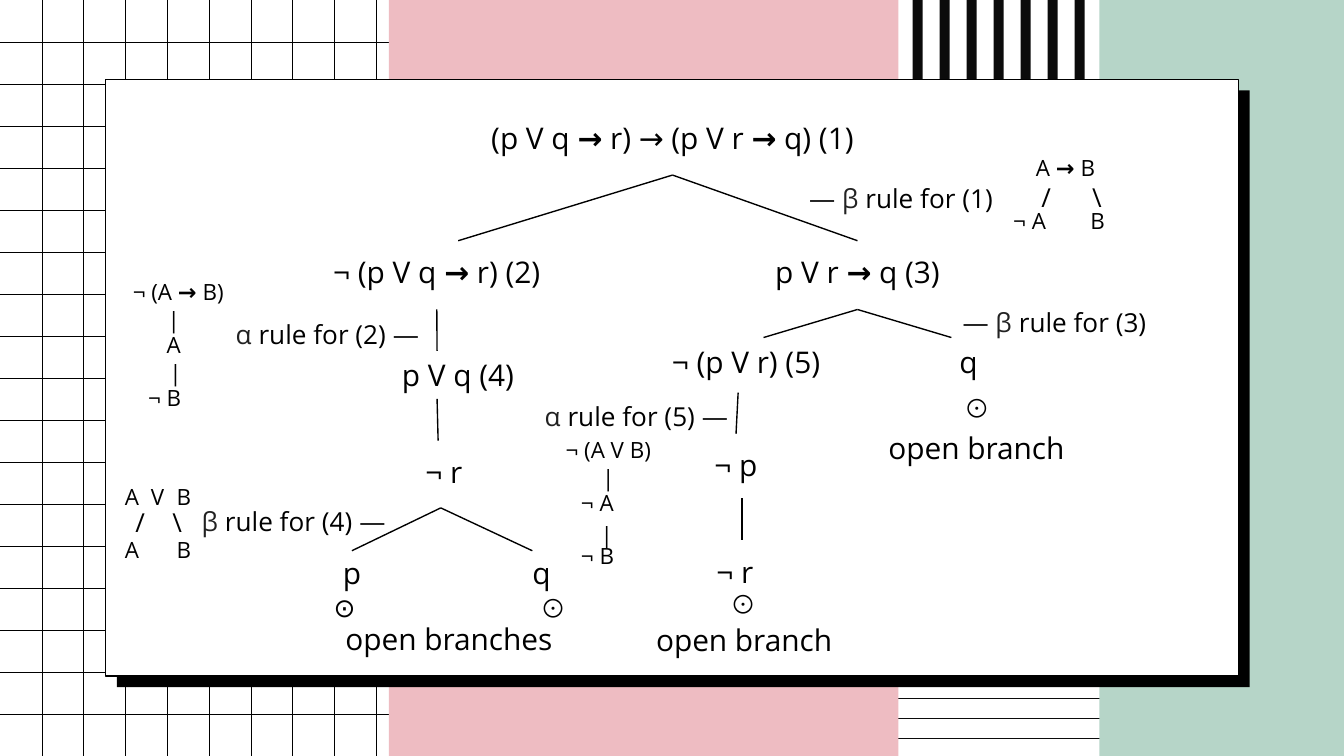
from lxml.etree import SubElement as Sub
from pptx import Presentation as Deck
from pptx.dml.color import RGBColor as Rgb
from pptx.enum.shapes import MSO_CONNECTOR as Link, MSO_SHAPE as Form
from pptx.enum.text import PP_ALIGN as Align
from pptx.oxml.ns import qn
from pptx.util import Cm, Pt

WIDE, HIGH = 25.4, 14.29
INK, GREY, COAL, WHITE = "000000", "222222", "0B0B0B", "FFFFFF"
TOP, BASE = 0, 2


def tint(code):
    return Rgb.from_string(code)


class Board:
    font = "Open Sans"
    inset = 0.25
    after = 14

    def __init__(self, slide):
        self.slide = slide

    def rect(self, x, y, w, h, fill, edge=None):
        box = self.slide.shapes.add_shape(Form.RECTANGLE, Cm(x), Cm(y), Cm(w), Cm(h))
        box.shadow.inherit = False
        box.fill.solid()
        box.fill.fore_color.rgb = tint(fill)
        if edge:
            box.line.color.rgb = tint(edge)
            box.line.width = Pt(0.75)
        else:
            box.line.fill.background()

    def line(self, x1, y1, x2, y2, hue=INK, width=0.75, head=None, tail=None):
        link = self.slide.shapes.add_connector(
            Link.STRAIGHT, Cm(x1), Cm(y1), Cm(x2), Cm(y2))
        link.line.color.rgb = tint(hue)
        link.line.width = Pt(width)
        Sub(link._element.spPr, qn("a:effectLst"))
        if head:
            link.begin_connect(*head)
        if tail:
            link.end_connect(*tail)

    def text(self, x, y, w, h, *rows, size=16, font=None, tabs=(), left=False, grey=False):
        box = self.slide.shapes.add_textbox(Cm(x), Cm(y), Cm(w), Cm(h))
        frame = box.text_frame
        frame.word_wrap = True
        frame.margin_left = frame.margin_right = Cm(self.inset)
        frame.margin_top = frame.margin_bottom = Cm(self.inset)
        for i, row in enumerate(rows):
            para = frame.add_paragraph() if i else frame.paragraphs[0]
            if tabs:
                stops = Sub(para._p.get_or_add_pPr(), qn("a:tabLst"))
                for stop in tabs:
                    Sub(stops, qn("a:tab"), pos=str(Cm(stop)), algn="l")
            para.alignment = Align.LEFT if left or tabs else Align.CENTER
            para.space_after = Pt(self.after)
            para.font.name = font or self.font
            para.font.size = Pt(size)
            if not grey:
                para.font.color.rgb = tint(INK)
            for j, part in enumerate(row.split("*")):
                if not part:
                    continue
                run = para.add_run()
                run.text = part
                if grey:
                    run.font.color.rgb = tint(GREY if j % 2 else INK)
                elif j % 2:
                    run.font.bold = True
        return box

    def rule(self, x, y, words):
        self.text(x, y, 4.04, 1, words, size=14, grey=True)


def back(board):
    for i in range(3):
        y = 13.2 + 0.38 * i
        board.line(15.32, y, 22.46, y, COAL, 0.35)
    for i in range(1, 18):
        y = 0.794 * i
        board.line(0, y, 12.68, y, width=0.19)
    for i in range(1, 17):
        x = 0.79 * i
        board.line(x, 0, x, HIGH, width=0.19)
    board.rect(20.78, 0, 4.62, HIGH, "B6D5C8")
    board.rect(7.35, 0, 9.63, HIGH, "EEBCC2")
    for i in range(7):
        board.rect(17.25 + 0.51 * i, 0, 0.19, 7.13, COAL)
    board.rect(2.21, 1.71, 21.41, 11.28, INK)
    board.rect(2, 1.5, 21.41, 11.28, WHITE, INK)


def tree(board):
    root = board.text(8.66, 2.01, 8.1, 1.3, "(p V q *→ *r) → (p V r *→ *q) (1)")
    two = board.text(5.84, 4.55, 4.83, 1.3, "¬ (p V q *→ *r) (2)")
    three = board.text(12.75, 4.55, 6.91, 1.3, "p V r *→ *q (3)")
    board.text(6.93, 6.5, 3.45, 1.3, "p V q (4)")
    board.text(12.17, 6.25, 6.91, 1.3, "\t¬ (p V r) (5)\tq", tabs=(0.28, 5.71))
    not_p = board.text(13.16, 8.2, 1.5, 1.37, "¬ p")
    board.text(6.93, 8.33, 3.45, 1.3, "\t¬ r", tabs=(0.86,))
    board.text(13, 10.21, 1.78, 1.3, "¬ r")
    board.text(5.03, 10.24, 6.91, 1.3, "\tp\tq", tabs=(1.2, 4.78))

    board.line(12.7, 3.33, 8.66, 4.55, head=(root, BASE))
    board.line(12.7, 3.33, 16.15, 4.55, head=(root, BASE), tail=(three, TOP))
    board.line(8.26, 5.84, 8.26, 6.63, head=(two, BASE))
    board.line(8.26, 7.54, 8.28, 8.33)
    for x in (6.65, 10.06):
        board.line(8.33, 9.6, x, 10.41)
    for x in (14.43, 17.98):
        board.line(16.2, 5.84, x, 6.38, head=(three, BASE))
    board.line(13.95, 7.42, 13.97, 8.2, tail=(not_p, TOP))
    board.line(14.02, 9.42, 14.02, 10.21)

    board.text(5.83, 10.92, 1.37, 1.3, "⊙", size=14)
    for x, y in ((9.77, 10.92), (17.78, 7.14), (13.36, 10.85)):
        board.text(x, y, 1.37, 1.3, "⊙", size=14, font="Arial")
    board.text(5.03, 11.48, 6.91, 1.3, "open branches")
    for x, y in ((16.51, 7.87), (12.12, 11.51)):
        board.text(x, y, 3.89, 0.97, "open branch")


def rules(board):
    board.rule(15.01, 3.2, "*— β* rule for (1)")
    board.rule(4.17, 5.77, "*α* rule for (2)* —")
    board.rule(17.91, 5.54, "*— β *rule for (3)")
    board.rule(3.53, 9.3, "*β* rule for (4)* —")
    board.rule(10.01, 7.32, "*α* rule for (5)* —")

    board.text(18.9, 2.67, 2.31, 1.98, "\tA *→* B", "¬ A\tB", size=12, tabs=(0.43, 1.46))
    board.text(19.43, 3.18, 2.29, 1.14, "/\t\\", size=14, tabs=(0.96,))
    board.text(2.11, 8.89, 2.49, 2.29, "A\tV\tB", "A\t\tB", size=12, tabs=(0.49, 0.98))
    board.text(2.31, 9.32, 1.42, 1.02, "/\t\\", size=14, tabs=(0.7,))
    board.text(2.26, 5, 2.41, 3.38, "¬ (A *→* B)", "\t\tA", "\t¬ B", size=12, tabs=(0.29, 0.64))
    board.text(10.44, 8, 2.29, 3.66, "¬ (A V B)", "\t¬ A", "\t¬ B", size=12, tabs=(0.29,))
    for x, y in ((2.95, 6.53), (2.92, 5.54), (11.13, 8.53), (11.1, 9.6)):
        board.text(x, y, 1.27, 1.04, "|", size=12, left=True)


def main():
    deck = Deck()
    deck.slide_width, deck.slide_height = Cm(WIDE), Cm(HIGH)
    board = Board(deck.slides.add_slide(deck.slide_layouts[6]))
    back(board)
    tree(board)
    rules(board)
    deck.save("out.pptx")


if __name__ == "__main__":
    main()
